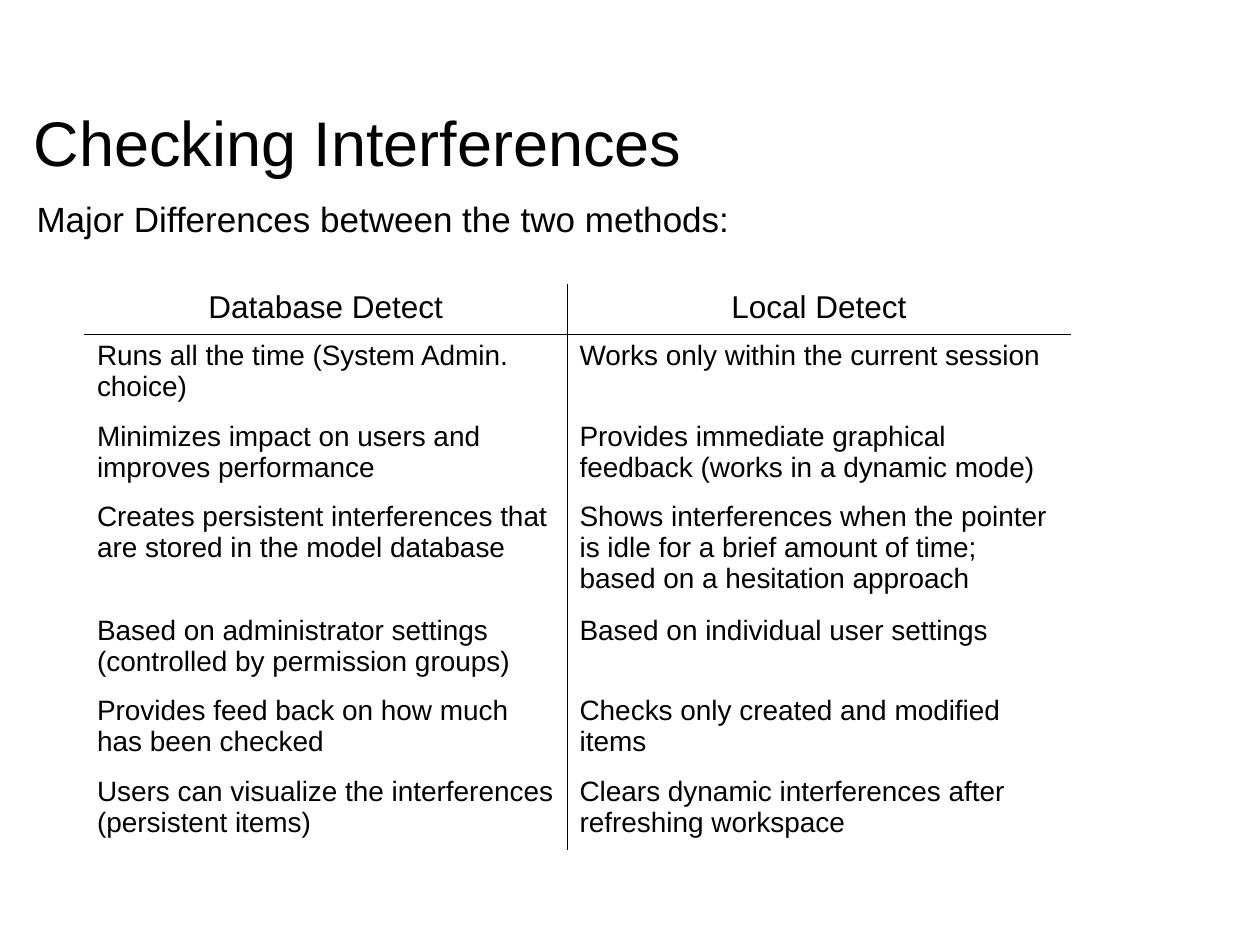
"""Build a slide comparing two ways of checking interferences."""
from lxml import etree
from pptx import Presentation
from pptx.dml.color import RGBColor
from pptx.enum.text import MSO_ANCHOR, PP_ALIGN
from pptx.oxml.ns import qn
from pptx.util import Inches, Pt

CENTER, LEFT = PP_ALIGN.CENTER, PP_ALIGN.LEFT
TOP, MIDDLE = MSO_ANCHOR.TOP, MSO_ANCHOR.MIDDLE

TITLE = "Checking Interferences"
INTRO = "Major Differences between the two methods:"
METHODS = [
    ("Database Detect", "Local Detect"),
    ("Runs all the time (System Admin. choice)",
     "Works only within the current session"),
    ("Minimizes impact on users and improves performance",
     "Provides immediate graphical feedback (works in a dynamic mode)"),
    ("Creates persistent interferences that are stored in the model database",
     "Shows interferences when the pointer is idle for a brief amount of time; "
     "based on a hesitation approach"),
    ("Based on administrator settings (controlled by permission groups)",
     "Based on individual user settings"),
    ("Provides feed back on how much has been checked",
     "Checks only created and modified items"),
    ("Users can visualize the interferences (persistent items)",
     "Clears dynamic interferences after refreshing workspace"),
]
COLUMN_WIDTHS = [3.83, 4]
ROW_HEIGHTS = [0.4, 0.64, 0.64, 0.9, 0.64, 0.64, 0.64]
COLORS = {"ink": "000000", "paper": "FFFFFF"}
FONT = "Arial"
RULE_WIDTH = Pt(0.45)


def write(frame, text, size, align=LEFT):
    frame.text = text
    frame.word_wrap = True
    para = frame.paragraphs[0]
    para.alignment = align
    font = para.runs[0].font
    font.name, font.size = FONT, Pt(size)
    font.color.rgb = RGBColor.from_string(COLORS["ink"])
    return para


def add_text(page, place, text, size, anchor, margins):
    box = page.shapes.add_textbox(*map(Inches, place))
    frame = box.text_frame
    frame.margin_left = frame.margin_right = Inches(margins[0])
    frame.margin_top = frame.margin_bottom = Inches(margins[1])
    frame.vertical_anchor = anchor
    return write(frame, text, size)


def rule_cell(cell, ruled_sides):
    properties = cell._tc.get_or_add_tcPr()
    for index, side in enumerate(("lnL", "lnR", "lnT", "lnB")):
        line = etree.Element(qn(f"a:{side}"), w=str(RULE_WIDTH))
        if side in ruled_sides:
            fill = etree.SubElement(line, qn("a:solidFill"))
            etree.SubElement(fill, qn("a:srgbClr"), val=COLORS["ink"])
        else:
            etree.SubElement(line, qn("a:noFill"))
        properties.insert(index, line)


def add_comparison(page):
    place = (0.67, 2.25, sum(COLUMN_WIDTHS), sum(ROW_HEIGHTS))
    frame = page.shapes.add_table(
        len(METHODS), len(COLUMN_WIDTHS), *map(Inches, place))
    table = frame.table
    table.first_row = table.horz_banding = False
    for column, width in zip(table.columns, COLUMN_WIDTHS):
        column.width = Inches(width)
    for row, height in zip(table.rows, ROW_HEIGHTS):
        row.height = Inches(height)
    for r, texts in enumerate(METHODS):
        size, align = (18, CENTER) if r == 0 else (16, LEFT)
        for c, text in enumerate(texts):
            cell = table.cell(r, c)
            cell.fill.background()
            write(cell.text_frame, text, size, align)
            sides = ["lnR" if c == 0 else "lnL"]
            if r < 2:
                sides.append("lnB" if r == 0 else "lnT")
            rule_cell(cell, sides)


def main():
    deck = Presentation()
    deck.slide_width, deck.slide_height = Inches(10), Inches(7.5)
    page = deck.slides.add_slide(deck.slide_layouts[6])
    page.background.fill.solid()
    page.background.fill.fore_color.rgb = RGBColor.from_string(COLORS["paper"])

    intro = add_text(page, (0.17, 1.57, 9.67, 4.87), INTRO, 20, TOP, (0, 0))
    intro.space_before = Pt(6)
    indent = intro._p.get_or_add_pPr()
    indent.set("marL", str(Inches(0.49)))
    indent.set("indent", str(Inches(-0.37)))

    add_comparison(page)
    add_text(page, (0.17, 0.5, 7.42, 1.25), TITLE, 36, MIDDLE, (0.1, 0.05))
    deck.save("out.pptx")


if __name__ == "__main__":
    main()
